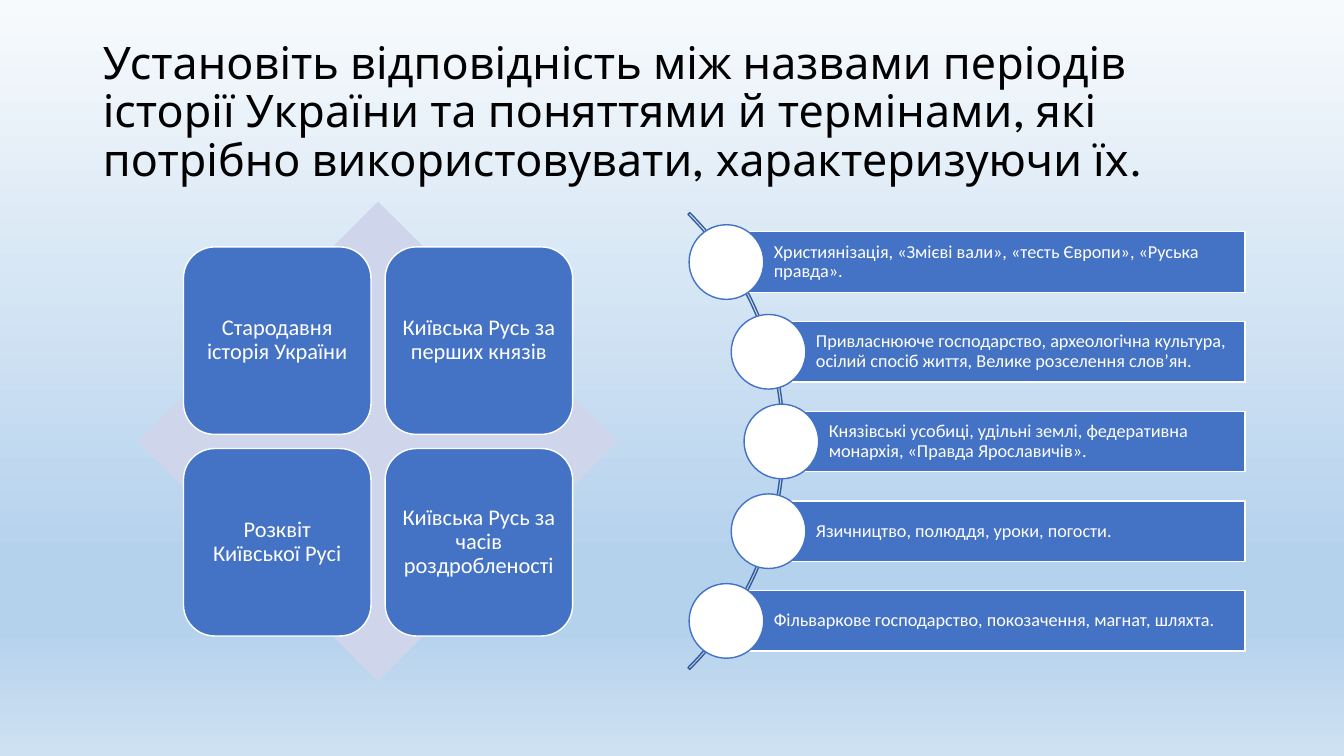
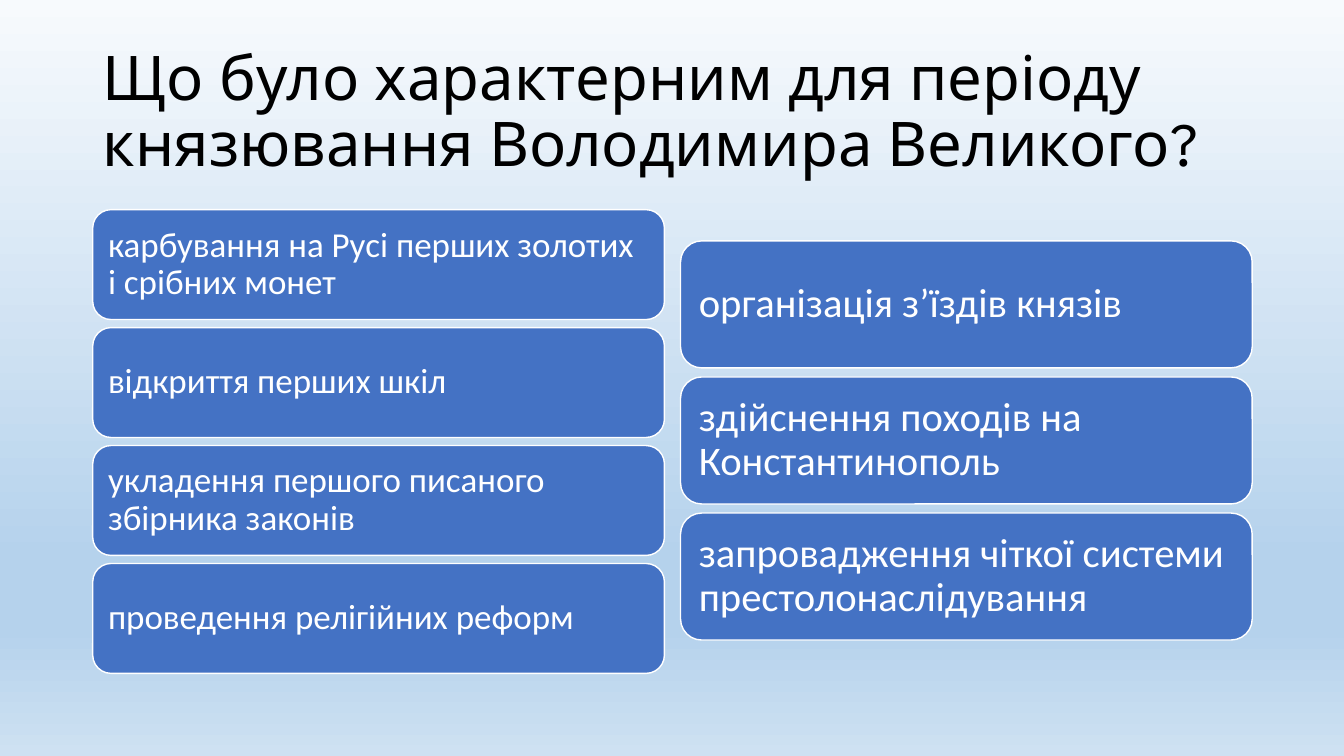
"""Build two history quiz slides with matching and selection cards."""
import math

import lxml.etree
import pptx
import pptx.dml.color
import pptx.enum.shapes
import pptx.enum.text
import pptx.oxml.ns
import pptx.util

Inches = pptx.util.Inches
Pt = pptx.util.Pt
SHAPE = pptx.enum.shapes.MSO_SHAPE
ALIGN = pptx.enum.text.PP_ALIGN
color = pptx.dml.color.RGBColor.from_string
qn = pptx.oxml.ns.qn

BLUE, WHITE, BLACK, LILAC, ARC_BLUE = "4472C4", "FFFFFF", "000000", "CFD5EA", "365B9D"
SKY = [(0, "F7FAFD"), (74, "B5D2EC"), (83, "B5D2EC"), (100, "CEE1F2")]
BODY_FONT, TITLE_FONT = "Calibri", "League Spartan"


def write(frame, text, size, font=BODY_FONT, ink=WHITE, align=ALIGN.LEFT, margins=(0.1, 0.05, 0.1, 0.05)):
    frame.text = text
    paragraph = frame.paragraphs[0]
    left, top, right, bottom = map(Inches, margins)
    frame_format = {
        "word_wrap": True,
        "auto_size": pptx.enum.text.MSO_AUTO_SIZE.NONE,
        "vertical_anchor": pptx.enum.text.MSO_ANCHOR.MIDDLE,
        "margin_left": left,
        "margin_top": top,
        "margin_right": right,
        "margin_bottom": bottom,
    }
    paragraph_format = {"alignment": align, "line_spacing": 0.9}
    run_font = paragraph.runs[0].font
    font_format = {"name": font, "size": Pt(size)}
    for target, values in ((frame, frame_format), (paragraph, paragraph_format), (run_font, font_format)):
        for name, value in values.items():
            setattr(target, name, value)
    run_font.color.rgb = color(ink)


def add_part(slide, kind, box, fill=BLUE, line=WHITE):
    part = slide.shapes.add_shape(kind, *map(Inches, box))
    part.shadow.inherit = False
    if fill:
        part.fill.solid()
        part.fill.fore_color.rgb = color(fill)
    else:
        part.fill.background()
    if line:
        part.line.color.rgb = color(line)
        part.line.width = Pt(1)
    else:
        part.line.fill.background()
    return part


presentation = pptx.Presentation()
presentation.slide_width = Inches(13.33)
presentation.slide_height = Inches(7.5)

master = presentation.slide_master
sky_fill = master.background.fill
sky_fill.gradient()
sky_fill.gradient_angle = 270
sky_stops = master.element.find(".//" + qn("a:gsLst"))
for stop in list(sky_stops):
    sky_stops.remove(stop)
for position, shade in SKY:
    stop = lxml.etree.SubElement(sky_stops, qn("a:gs"), pos=str(position * 1000))
    lxml.etree.SubElement(stop, qn("a:srgbClr"), val=shade)

titles = [
    ("Установіть відповідність між назвами періодів історії України та поняттями й термінами, "
     "які потрібно використовувати, характеризуючи їх.", 32),
    ("Що було характерним для періоду князювання Володимира Великого?", 44),
]
slides = []
for heading, size in titles:
    slide = presentation.slides.add_slide(presentation.slide_layouts[5])
    title = slide.shapes.title
    title_place = {"left": 0.92, "top": 0.4, "width": 11.5, "height": 1.45}
    for name, value in title_place.items():
        setattr(title, name, Inches(value))
    write(title.text_frame, heading, size, TITLE_FONT, BLACK)
    slides.append(slide)
matching, selection = slides

add_part(matching, SHAPE.DIAMOND, (1.37, 2, 4.76, 4.76), LILAC, None)
periods = [
    "Стародавня історія України",
    "Київська Русь за перших князів",
    "Розквіт Київської Русі",
    "Київська Русь за часів роздробленості",
]
for index, period in enumerate(periods):
    row, column = divmod(index, 2)
    card = add_part(matching, SHAPE.ROUNDED_RECTANGLE, (1.82 + 2 * column, 2.45 + 2 * row, 1.86, 1.86))
    write(card.text_frame, period, 16, align=ALIGN.CENTER, margins=(0.07,) * 4)

arc = add_part(matching, SHAPE.BLOCK_ARC, (1.37, 1.17, 6.41, 6.41), None, ARC_BLUE)
for index, value in enumerate((189, 27, 0.004)):
    arc.adjustments[index] = value

terms = [
    "Християнізація, «Змієві вали», «тесть Європи», «Руська правда».",
    "Привласнююче господарство, археологічна культура, осілий спосіб життя, Велике розселення слов’ян.",
    "Князівські усобиці, удільні землі, федеративна монархія, «Правда Ярославичів».",
    "Язичництво, полюддя, уроки, погости.",
    "Фільваркове господарство, покозачення, магнат, шляхта.",
]
arc_x, arc_y, arc_radius = 4.57, 4.38, 3.18
term_step, bar_right, bar_height, circle_size = 0.89, 12.35, 0.6, 0.74
for index, term in enumerate(terms):
    rise = (index - 2) * term_step
    center_x = arc_x + math.sqrt(arc_radius ** 2 - rise ** 2)
    center_y = arc_y + rise
    bar = add_part(matching, SHAPE.RECTANGLE,
                   (center_x, center_y - bar_height / 2, bar_right - center_x, bar_height))
    write(bar.text_frame, term, 13, margins=(0.47, 0.04, 0.04, 0.04))
    add_part(matching, SHAPE.OVAL,
             (center_x - circle_size / 2, center_y - circle_size / 2, circle_size, circle_size), WHITE, BLUE)

answer_columns = [
    (0.92, 2.08, 1.09, 1.17, 25, 0.1, [
        "карбування на Русі перших золотих і срібних монет",
        "відкриття перших шкіл",
        "укладення першого писаного збірника законів",
        "проведення релігійних реформ",
    ]),
    (6.75, 2.39, 1.26, 1.35, 29, 0.12, [
        "організація з’їздів князів",
        "здійснення походів на Константинополь",
        "запровадження чіткої системи престолонаслідування",
    ]),
]
for left, top, height, step, size, margin, answers in answer_columns:
    for index, answer in enumerate(answers):
        card = add_part(selection, SHAPE.ROUNDED_RECTANGLE, (left, top + index * step, 5.67, height))
        write(card.text_frame, answer, size, margins=(margin,) * 4)

presentation.save("out.pptx")
